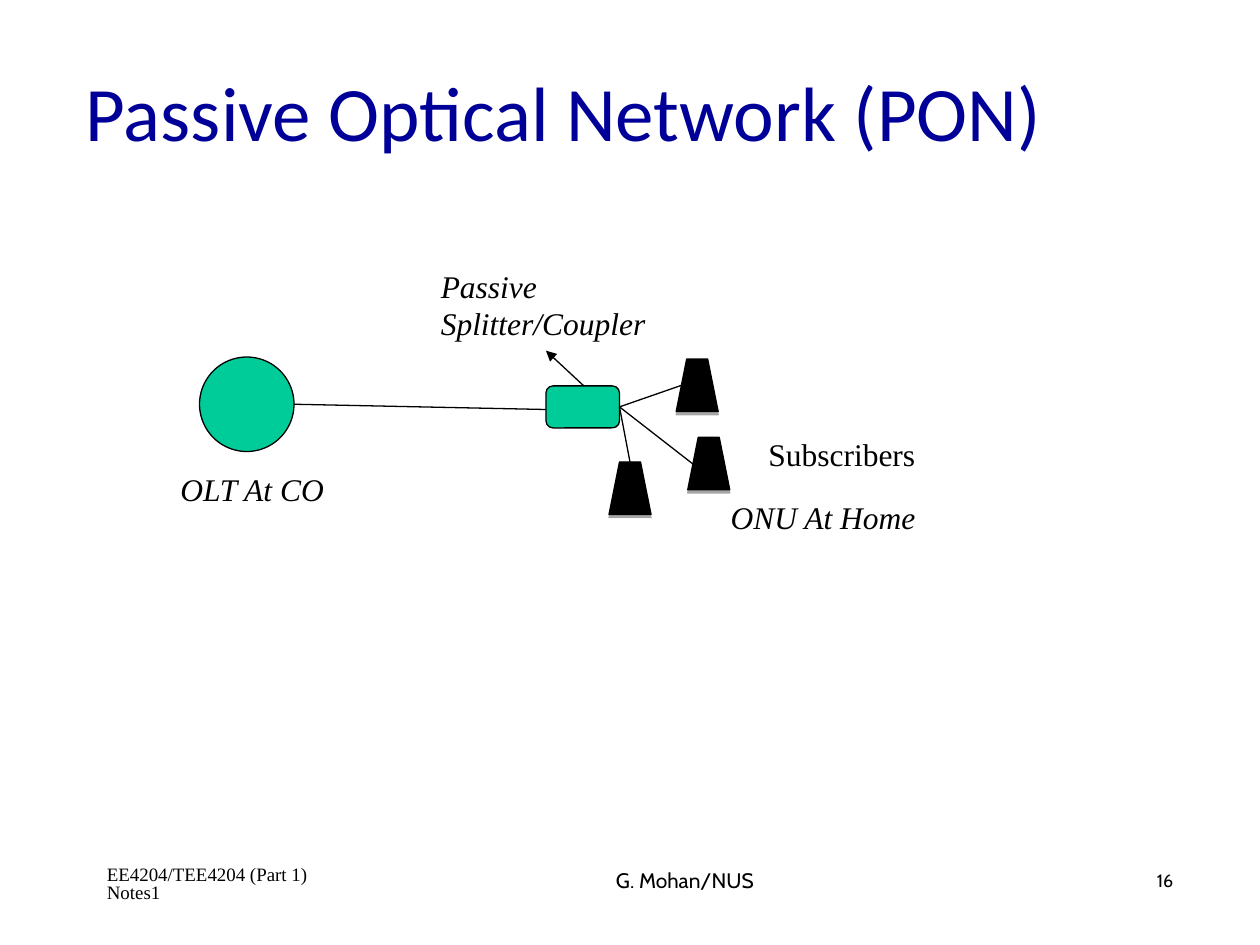
from lxml import etree
from pptx import Presentation
from pptx.dml.color import RGBColor
from pptx.enum.shapes import MSO_CONNECTOR, MSO_SHAPE
from pptx.enum.text import MSO_ANCHOR, PP_ALIGN
from pptx.oxml.ns import qn
from pptx.util import Inches, Pt

OVAL, ROUNDED = MSO_SHAPE.OVAL, MSO_SHAPE.ROUNDED_RECTANGLE
STRAIGHT = MSO_CONNECTOR.STRAIGHT
TOP, MIDDLE = MSO_ANCHOR.TOP, MSO_ANCHOR.MIDDLE
LEFT, RIGHT = PP_ALIGN.LEFT, PP_ALIGN.RIGHT
BLACK, GREEN, NAVY = "000000", "00CC99", "000099"
SERIF = "Times New Roman"

deck = Presentation()
deck.slide_width, deck.slide_height = Inches(10), Inches(7.5)
CELL = deck.slide_width // 120
slide = deck.slides.add_slide(deck.slide_layouts[6])
shapes = slide.shapes


def cells(*counts):
    return [round(count * CELL) for count in counts]


def paint(item, fill=None):
    item.line.color.rgb = RGBColor.from_string(BLACK)
    item.line.width = Pt(0.75)
    if fill:
        item.shadow.inherit = False
        item.fill.solid()
        item.fill.fore_color.rgb = RGBColor.from_string(fill)
    else:
        etree.SubElement(item.line._get_or_add_ln().getparent(), qn("a:effectLst"))


terminal = shapes.add_shape(OVAL, *cells(19, 34, 9, 9))
splitter = shapes.add_shape(ROUNDED, *cells(52, 36.75, 7, 4))
for node in (terminal, splitter):
    paint(node, GREEN)

for left, top in [(64.4, 34.2), (65.5, 41.65), (58, 44)]:
    outline = shapes.build_freeform(*cells(left, top + 5))
    outline.add_line_segments(
        [cells(left + x, top + y) for x, y in [(1, 0), (3, 0), (4, 5)]], close=True
    )
    home_unit = outline.convert_to_shape()
    paint(home_unit, BLACK)
    effects = home_unit._element.spPr.find(qn("a:effectLst"))
    drop = etree.SubElement(
        effects, qn("a:outerShdw"), dist=str(Pt(1.8)), dir="5400000", rotWithShape="0"
    )
    tint = etree.SubElement(drop, qn("a:srgbClr"), val=BLACK)
    etree.SubElement(tint, qn("a:alpha"), val="35000")

for start, end, pointed in [
    ((28, 38.5), (52, 39), False),
    ((55.6, 36.75), (52, 33.4), True),
    ((59, 38.75), (64.9, 36.7), False),
    ((59, 38.75), (66, 44.2), False),
    ((59, 38.75), (60, 44), False),
]:
    fibre = shapes.add_connector(STRAIGHT, *cells(*start, *end))
    paint(fibre)
    if pointed:
        etree.SubElement(fibre.line._get_or_add_ln(), qn("a:tailEnd"), type="triangle")

for words, place, size, font, colour, italic, anchor, align, spacing in [
    ("Passive Optical Network (PON)", (7, 3, 102, 15), 44, "Calibri", NAVY, False, MIDDLE, LEFT, 1),
    ("EE4204/TEE4204 (Part 1) Notes1", (9, 82, 25, 6), 10.8, SERIF, BLACK, False, TOP, LEFT, 0.8),
    ("G. Mohan/NUS", (54.8, 82, 18.2, 6.6), 12, "Cabin", BLACK, False, TOP, RIGHT, 1),
    ("16", (109, 82.5, 9, 3.6), 10.2, "Cabin", BLACK, False, TOP, LEFT, 0.9),
    ("OLT At CO", (16, 44.2, 18, 4.8), 18, SERIF, BLACK, True, TOP, LEFT, 1),
    ("ONU At Home", (68.4, 46.8, 22, 4.8), 18, SERIF, BLACK, True, TOP, LEFT, 1),
    ("Passive\nSplitter/Coupler", (40.8, 24.8, 22.4, 8.4), 18, SERIF, BLACK, True, TOP, LEFT, 1),
    ("Subscribers", (72, 40.8, 21, 4.8), 18, SERIF, BLACK, False, TOP, LEFT, 1),
]:
    frame = shapes.add_textbox(*cells(*place)).text_frame
    frame.word_wrap = True
    frame.vertical_anchor = anchor
    frame.text = words
    for paragraph in frame.paragraphs:
        paragraph.alignment = align
        paragraph.line_spacing = spacing
        for run in paragraph.runs:
            run.font.size = Pt(size)
            run.font.name = font
            run.font.italic = italic
            run.font.color.rgb = RGBColor.from_string(colour)

deck.save("out.pptx")
